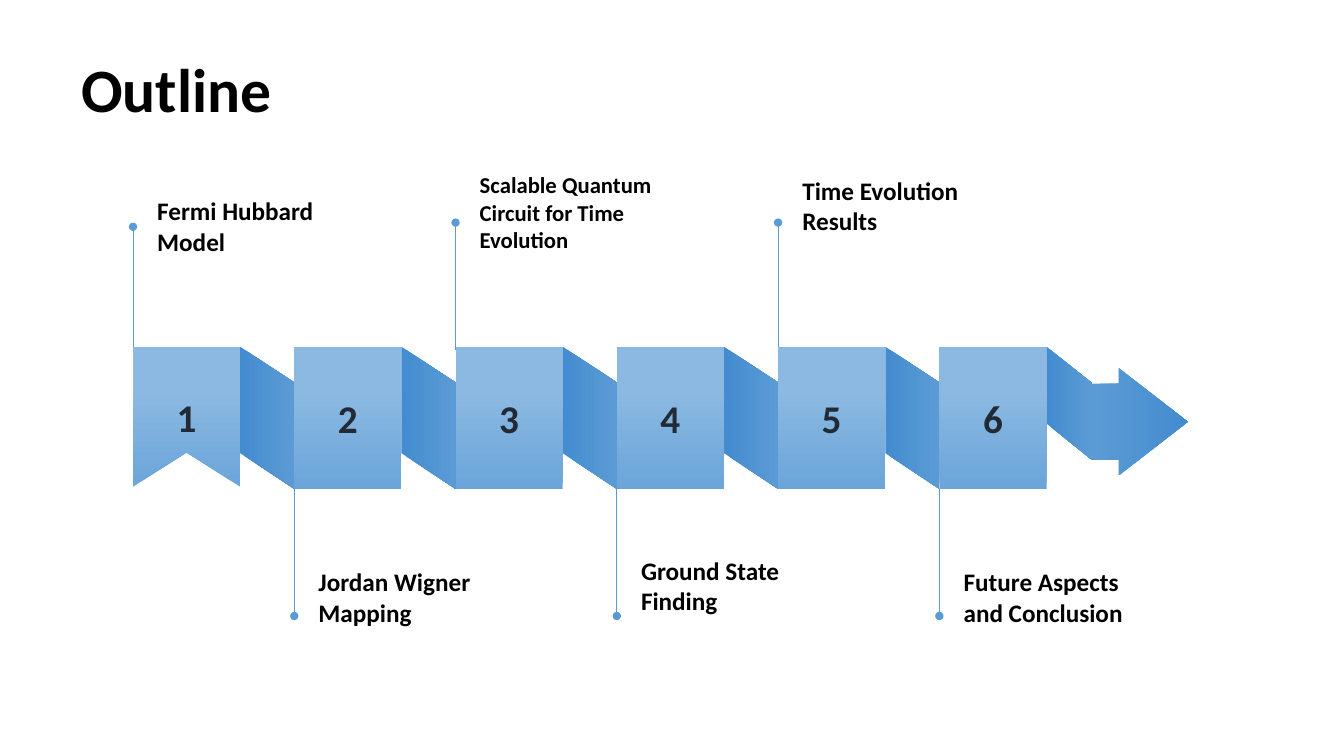
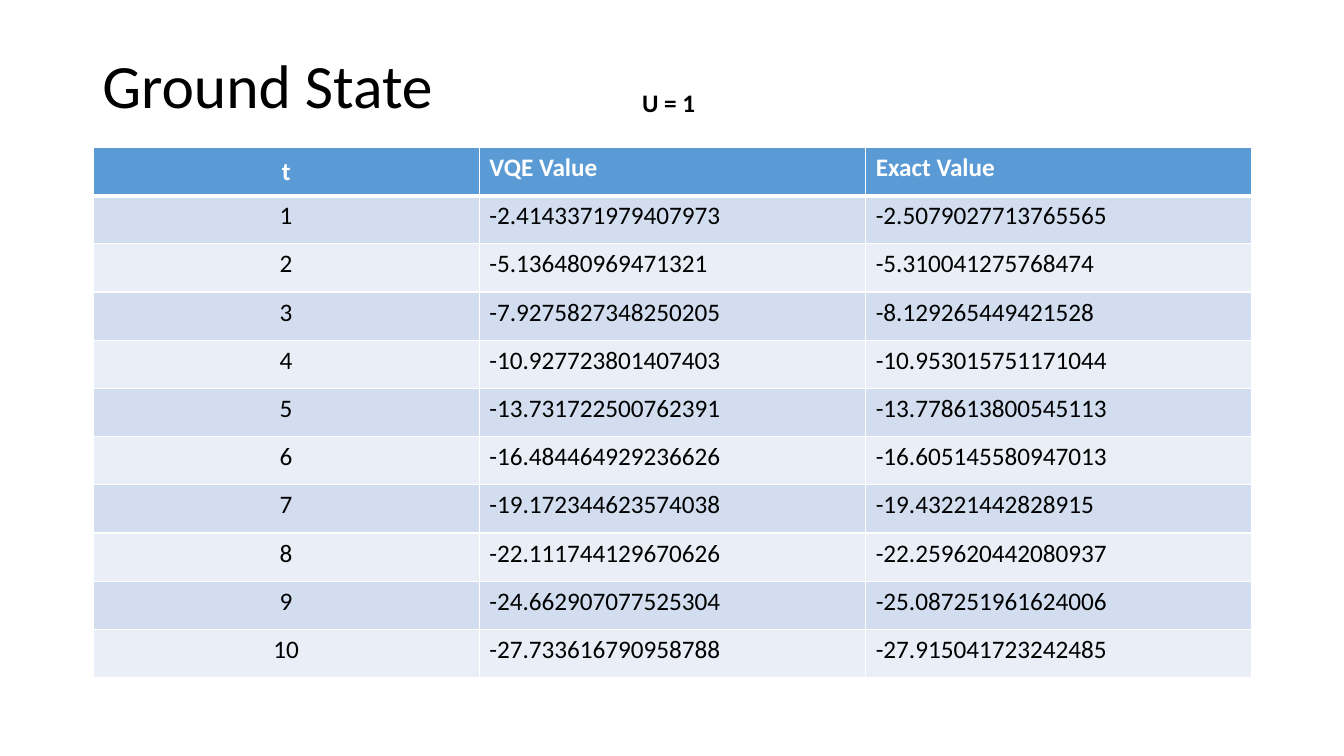
from lxml import etree
from pptx import Presentation
from pptx.dml.color import RGBColor
from pptx.enum.shapes import MSO_CONNECTOR, MSO_SHAPE
from pptx.enum.text import MSO_ANCHOR, PP_ALIGN
from pptx.oxml.ns import qn
from pptx.util import Pt

LINE = MSO_CONNECTOR.STRAIGHT
RECT, FOLD, ARROW = MSO_SHAPE.RECTANGLE, MSO_SHAPE.PARALLELOGRAM, MSO_SHAPE.RIGHT_ARROW
TOP, MID, LOW = MSO_ANCHOR.TOP, MSO_ANCHOR.MIDDLE, MSO_ANCHOR.BOTTOM
LEFT, MIDST = PP_ALIGN.LEFT, PP_ALIGN.CENTER

FONT = "Calibri"
HEX = {"ink": "000000", "white": "FFFFFF", "num": "222A35", "blue": "5B9BD5",
       "deep": "438CCF", "soft": "6BA5D9", "pale": "8CB9E2",
       "odd": "D2DEEF", "even": "EAEFF7"}

# Steps: label paragraphs, text size, bottom of label, end of stem
STEPS = [
    (["Fermi Hubbard Model"], 18, 183, 162),
    (["Jordan Wigner Mapping"], 18, 448, 440),
    (["Scalable Quantum Circuit for Time Evolution"], 16.2, 180.7, 159),
    (["Ground State Finding"], 18, 440, 440),
    (["Time Evolution", "Results"], 18, 168.5, 159),
    (["Future Aspects and Conclusion"], 18, 448, 440),
]
HEAD = ("t", "VQE Value", "Exact Value")
ROWS = [
    ("1", "-2.4143371979407973", "-2.5079027713765565"),
    ("2", "-5.136480969471321", "-5.310041275768474"),
    ("3", "-7.9275827348250205", "-8.129265449421528"),
    ("4", "-10.927723801407403", "-10.953015751171044"),
    ("5", "-13.731722500762391", "-13.778613800545113"),
    ("6", "-16.484464929236626", "-16.605145580947013"),
    ("7", "-19.172344623574038", "-19.43221442828915"),
    ("8", "-22.111744129670626", "-22.259620442080937"),
    ("9", "-24.662907077525304", "-25.087251961624006"),
    ("10", "-27.733616790958788", "-27.915041723242485"),
]

# Ribbon grid
X0, Y0, STEP = 95, 247.7, 115.2
BOX_W, BOX_H = 76.6, 101.5


def rgb(name):
    return RGBColor.from_string(HEX[name])


def write(frame, lines, size, color="ink", bold=False, align=LEFT, space=None):
    for i, line in enumerate(lines):
        para = frame.add_paragraph() if i else frame.paragraphs[0]
        para.alignment = align
        if space:
            para.line_spacing = space
        run = para.add_run()
        run.text = line
        font = run.font
        font.name, font.size, font.bold = FONT, Pt(size), bold
        font.color.rgb = rgb(color)


def inset(frame, gap):
    frame.margin_left = frame.margin_right = Pt(gap)
    frame.margin_top = frame.margin_bottom = Pt(gap)


def add_text(slide, box, lines, size, anchor=TOP, gap=None, **style):
    frame = slide.shapes.add_textbox(*map(Pt, box)).text_frame
    frame.word_wrap = True
    frame.vertical_anchor = anchor
    if gap is not None:
        inset(frame, gap)
    write(frame, lines, size, **style)


def add_title(slide, box, text, bold=False):
    add_text(slide, box, [text], 44, MID, bold=bold, space=0.9)


def shade(shape, first, last, angle=90, end=1):
    shape.shadow.inherit = False
    shape.line.fill.background()
    shape.fill.gradient()
    shape.fill.gradient_angle = angle
    for stop, name, pos in zip(shape.fill.gradient_stops, (first, last), (0, end)):
        stop.color.rgb = rgb(name)
        stop.position = pos


def add_stem(slide, x, start, end):
    stem = slide.shapes.add_connector(LINE, Pt(x), Pt(start), Pt(x), Pt(end))
    stem.line.color.rgb = rgb("blue")
    stem.line.width = Pt(0.5)
    etree.SubElement(stem.line._get_or_add_ln(), qn("a:tailEnd"), type="oval")
    etree.SubElement(stem._element.spPr, qn("a:effectLst"))


def add_flag(slide, x):
    # First panel, notched at the foot
    foot = Y0 + 100
    pts = [(x + BOX_W, Y0), (x + BOX_W, foot), (x + BOX_W / 2, foot - 24.5), (x, foot)]
    path = slide.shapes.build_freeform(Pt(x), Pt(Y0))
    path.add_line_segments([(Pt(a), Pt(b)) for a, b in pts], close=True)
    return path.convert_to_shape()


def add_fold(slide, x, y, wide, high, slant):
    # The preset lies on its side, so width and height swap about the centre
    left, top = x + (wide - high) / 2, y + (high - wide) / 2
    fold = slide.shapes.add_shape(FOLD, Pt(left), Pt(top), Pt(high), Pt(wide))
    fold.rotation = 90
    fold.adjustments[0] = slant
    shade(fold, "deep", "blue")


def add_edges(cell, head, first):
    props = cell._tc.get_or_add_tcPr()
    for i, side in enumerate("LRTB"):
        thick = (head and side == "B") or (first and side == "T")
        edge = etree.Element(qn("a:ln" + side), w=str(Pt(3 if thick else 1)))
        fill = etree.SubElement(edge, qn("a:solidFill"))
        etree.SubElement(fill, qn("a:srgbClr"), val=HEX["white"])
        props.insert(i, edge)


def outline(slide):
    add_title(slide, (51, 29.5, 828, 73), "Outline", bold=True)
    spots = [X0 + i * STEP for i in range(len(STEPS))]

    # Labels and stems
    for i, (x, (lines, size, low, end)) in enumerate(zip(spots, STEPS)):
        add_text(slide, (x + 17.3, low - 55, 136, 55), lines, size, LOW, 0, bold=True)
        add_stem(slide, x, Y0 + BOX_H if i % 2 else Y0 + 2, end)

    # Numbered panels
    for i, x in enumerate(spots):
        if i:
            panel = slide.shapes.add_shape(RECT, Pt(x), Pt(Y0), Pt(BOX_W), Pt(BOX_H))
        else:
            panel = add_flag(slide, x)
        shade(panel, "soft", "pale", end=0.7)
        frame = panel.text_frame
        frame.word_wrap = False
        frame.vertical_anchor = MID
        inset(frame, 8.6)
        write(frame, [str(i + 1)], 28, "num", True, MIDST)

    # Folds between panels, then the arrow
    for x in spots[:-1]:
        add_fold(slide, x + BOX_W, Y0, STEP - BOX_W, BOX_H, 0.66)
    add_fold(slide, spots[-1] + BOX_W, Y0, 32.6, 81, 0.8)
    arrow = slide.shapes.add_shape(ARROW, Pt(780), Pt(263), Pt(68.4), Pt(76.6))
    arrow.adjustments[0], arrow.adjustments[1] = 0.71, 0.72
    shade(arrow, "blue", "deep", angle=0)


def results(slide):
    add_title(slide, (66, 28.5, 828, 69), "Ground State")

    # Table of energies
    data = [HEAD] + ROWS
    table = slide.shapes.add_table(len(data), len(HEAD), Pt(66.4), Pt(105.4),
                                   Pt(828), Pt(34.44 * len(data))).table
    for r, row in enumerate(data):
        head = r == 0
        for c, text in enumerate(row):
            cell = table.cell(r, c)
            cell.fill.solid()
            cell.fill.fore_color.rgb = rgb("blue" if head else "odd" if r % 2 else "even")
            cell.vertical_anchor = TOP if c or r else MID
            add_edges(cell, head, r == 1)
            write(cell.text_frame, [text], 18, "white" if head else "ink", head,
                  LEFT if c else MIDST)

    add_text(slide, (451.5, 59, 320, 29), ["U = 1"], 18, bold=True)


def main():
    deck = Presentation()
    deck.slide_width, deck.slide_height = Pt(960), Pt(540)
    for build in (outline, results):
        build(deck.slides.add_slide(deck.slide_layouts[6]))
    deck.save("out.pptx")


if __name__ == "__main__":
    main()
